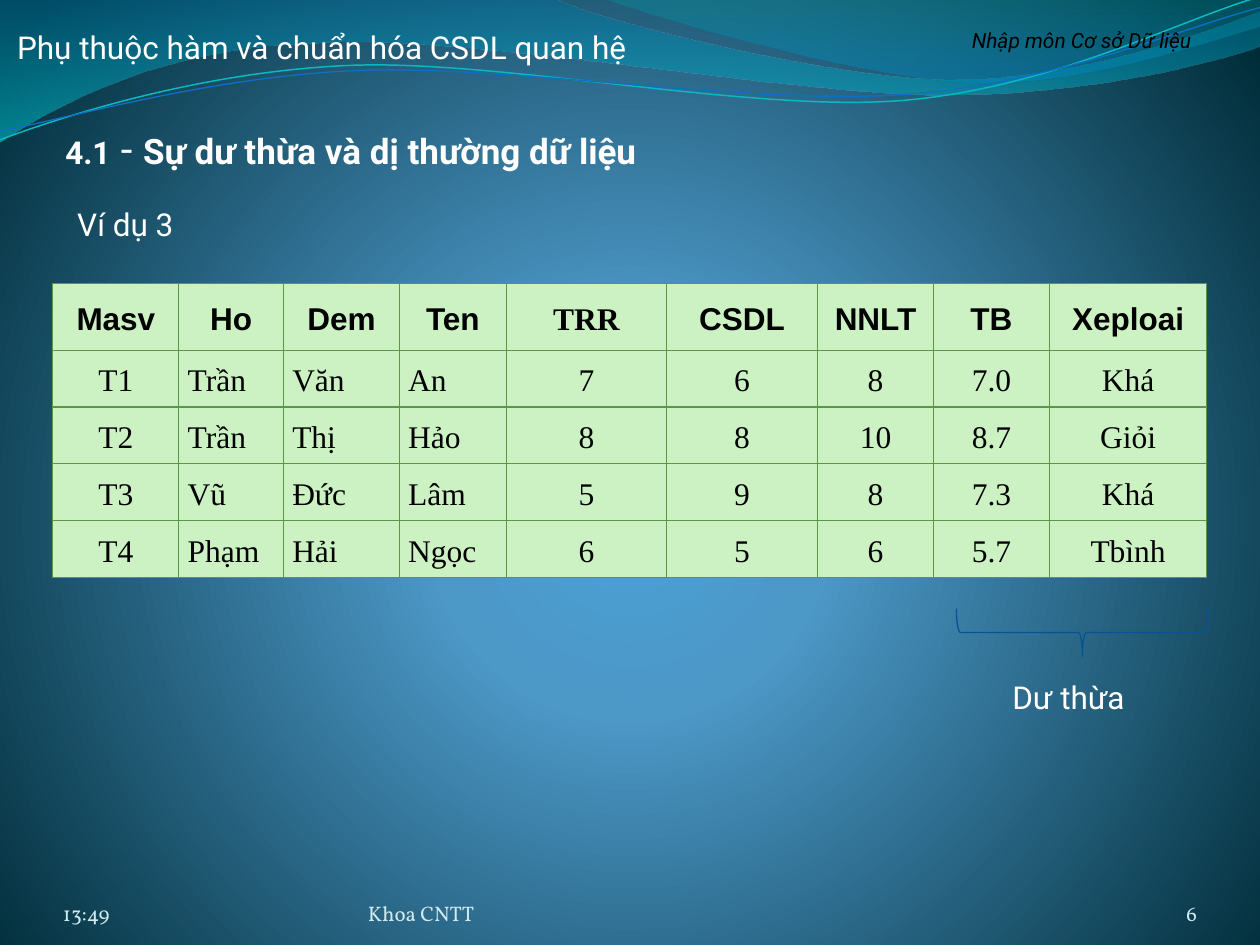
import math
from dataclasses import dataclass
from typing import Any

import pptx
import pptx.dml.color
import pptx.enum.shapes
import pptx.enum.text
import pptx.oxml
import pptx.oxml.ns
import pptx.util

Inches = pptx.util.Inches
Pt = pptx.util.Pt
qn = pptx.oxml.ns.qn
ALIGN = pptx.enum.text.PP_ALIGN
ANCHOR = pptx.enum.text.MSO_ANCHOR
FIT = pptx.enum.text.MSO_AUTO_SIZE
NAMESPACE = pptx.oxml.ns.nsdecls("a")

WHITE, BLACK, FOOTER_TINT = "FFFFFF", "000000", "D1EAEE"
TABLE_FILL, TABLE_BORDER = "CCF2C4", "5B9747"
Point = tuple[float, float]
Place = tuple[float, float, float, float]


@dataclass
class Span:
    text: str
    size: float = 18
    font: str = "Roboto"
    color: str = WHITE
    bold: bool = False
    italic: bool = False


@dataclass
class Label:
    place: Place
    spans: list[Span]
    align: Any = ALIGN.CENTER
    wrap: bool = False
    anchor: Any = ANCHOR.TOP
    inset: Point = (0.1, 0.05)
    fit: Any = FIT.SHAPE_TO_FIT_TEXT


@dataclass
class Wave:
    place: Place
    pieces: list[tuple[Point, ...]]
    line: str = ""
    width: float = 0.75
    turn: float = 0
    stops: tuple[tuple[int, str, int], ...] = ()


def rgb(value: str) -> pptx.dml.color.RGBColor:
    return pptx.dml.color.RGBColor.from_string(value)


def apply(target: Any, values: dict[str, Any]) -> None:
    for name, value in values.items():
        setattr(target, name, value)


def paint_gradient(holder: Any, stops: Any, direction: str) -> None:
    steps = "".join(
        f'<a:gs pos="{place * 1000}"><a:srgbClr val="{color}">'
        f'<a:alpha val="{opacity * 1000}"/></a:srgbClr></a:gs>'
        for place, color, opacity in stops
    )
    gradient = pptx.oxml.parse_xml(
        f'<a:gradFill {NAMESPACE} rotWithShape="1"><a:gsLst>{steps}</a:gsLst>{direction}</a:gradFill>'
    )
    holder.replace(holder.find(qn("a:solidFill")), gradient)


def local_point(point: Point, wave: Wave) -> str:
    left, top, width, height = wave.place
    angle = math.radians(-wave.turn)
    across, down = point[0] - left - width / 2, point[1] - top - height / 2
    x = across * math.cos(angle) - down * math.sin(angle) + width / 2
    y = across * math.sin(angle) + down * math.cos(angle) + height / 2
    return f'<a:pt x="{Inches(x)}" y="{Inches(y)}"/>'


def draw_wave(page: Any, wave: Wave) -> None:
    left, top, width, height = (Inches(value) for value in wave.place)
    builder = page.shapes.build_freeform(left, top)
    builder.add_line_segments([(left + width, top), (left + width, top + height)])
    shape = builder.convert_to_shape()
    outline = shape.element.spPr.find(".//" + qn("a:path"))
    for step in list(outline):
        outline.remove(step)
    for index, piece in enumerate(wave.pieces):
        tag = "moveTo" if index == 0 else "cubicBezTo" if len(piece) == 3 else "lnTo"
        points = "".join(local_point(point, wave) for point in piece)
        outline.append(pptx.oxml.parse_xml(f"<a:{tag} {NAMESPACE}>{points}</a:{tag}>"))
    shape.rotation = wave.turn
    shape.shadow.inherit = False
    if wave.stops:
        outline.append(pptx.oxml.parse_xml(f"<a:close {NAMESPACE}/>"))
        shape.fill.solid()
        paint_gradient(shape.element.spPr, wave.stops, '<a:lin ang="5400000" scaled="0"/>')
        shape.line.fill.background()
    else:
        shape.fill.background()
        shape.line.color.rgb = rgb(wave.line)
        shape.line.width = Pt(wave.width)


def write_span(para: Any, item: Span) -> None:
    span = para.add_run()
    span.text = item.text
    apply(span.font, {"size": Pt(item.size), "name": item.font, "bold": item.bold, "italic": item.italic})
    span.font.color.rgb = rgb(item.color)


def draw_label(page: Any, label: Label) -> None:
    box = page.shapes.add_textbox(*(Inches(value) for value in label.place))
    across, down = (Inches(value) for value in label.inset)
    apply(box.text_frame, {
        "word_wrap": label.wrap, "vertical_anchor": label.anchor, "auto_size": label.fit,
        "margin_left": across, "margin_right": across, "margin_top": down, "margin_bottom": down,
    })
    para = box.text_frame.paragraphs[0]
    para.alignment = label.align
    for item in label.spans:
        write_span(para, item)


def fill_cell(cell: Any, item: Span, align: Any) -> None:
    apply(cell, {
        "vertical_anchor": ANCHOR.MIDDLE, "margin_left": Inches(0.07), "margin_right": Inches(0.07),
        "margin_top": 0, "margin_bottom": 0,
    })
    cell.fill.solid()
    cell.fill.fore_color.rgb = rgb(TABLE_FILL)
    properties = cell._tc.get_or_add_tcPr()
    for index, side in enumerate("LRTB"):
        properties.insert(index, pptx.oxml.parse_xml(
            f'<a:ln{side} {NAMESPACE} w="{Pt(0.75)}"><a:solidFill>'
            f'<a:srgbClr val="{TABLE_BORDER}"/></a:solidFill></a:ln{side}>'
        ))
    para = cell.text_frame.paragraphs[0]
    apply(para, {"alignment": align, "line_spacing": 1.15})
    write_span(para, item)


def draw_grades(page: Any, rows: list[list[str]], widths: list[float], heights: list[float]) -> None:
    frame = page.shapes.add_table(
        len(rows), len(widths), Inches(0.42), Inches(2.25), Inches(sum(widths)), Inches(sum(heights))
    )
    grades = frame.table
    apply(grades, {"first_row": False, "horz_banding": False})
    for column, width in zip(grades.columns, widths):
        column.width = Inches(width)
    for row, (values, height) in enumerate(zip(rows, heights)):
        grades.rows[row].height = Inches(height)
        for column, value in enumerate(values):
            header = row == 0
            font = "Arial" if header and value != "TRR" else "Times New Roman"
            align = ALIGN.LEFT if not header and column in (1, 2, 3) else ALIGN.CENTER
            fill_cell(grades.cell(row, column), Span(value, 18, font, BLACK, bold=header), align)


def footer(text: str, left: float, width: float, align: Any = ALIGN.LEFT) -> Label:
    return Label((left, 6.95, width, 0.4), [Span(text, 12, "Vollkorn", FOOTER_TINT)],
                 align, True, ANCHOR.BOTTOM, (0, 0), FIT.NONE)


WAVES = [
    Wave((-0.01, -0.01, 10.02, 1.14), [
        ((0, 0),), ((4.4, -0.01),),
        ((4.76, 0.17), (6.64, 0.63), (7.58, 0.63)), ((8.53, 0.63), (9.58, 0.26), (10, 0.09)),
        ((10.01, 0.36),), ((9.83, 0.44), (8.7, 0.76), (7.46, 0.75)),
        ((6.22, 0.75), (3.82, 0.28), (2.57, 0.34)), ((1.29, 0.36), (0.46, 0.83), (-0.01, 1.13)),
        ((0, 0),),
    ], stops=((0, "0074A1", 45), (100, "00C6CF", 55))),
    Wave((4.79, -0.01, 5.21, 0.7), [
        ((4.79, -0.01),),
        ((5.09, 0.11), (6.82, 0.62), (7.69, 0.65)), ((8.56, 0.69), (9.61, 0.32), (10, 0.21)),
        ((10, 0),), ((4.79, -0.01),),
    ], stops=((0, "00A1A9", 30), (80, "008BBF", 45))),
    Wave((-0.02, 0.22, 10.02, 0.71), [
        ((0, 1.11),), ((0.48, 0.93), (1.58, 0.57), (2.77, 0.52)),
        ((3.95, 0.47), (5.93, 0.89), (7.13, 0.8)), ((8.33, 0.71), (9.38, 0.15), (9.98, -0.02)),
    ], "0AB8BF", 0.85, 357.3),
    Wave((-0.02, 0.3, 10.03, 0.58), [
        ((0, 1.04),), ((0.47, 0.96), (1.64, 0.61), (2.83, 0.56)),
        ((4.03, 0.51), (5.97, 0.84), (7.17, 0.75)), ((8.36, 0.67), (9.41, 0.21), (10, 0.06)),
    ], "0F6FC6", 0.75, 357.3),
]
LABELS = [
    Label((7.17, 0.17, 2.83, 0.3), [Span("Nhập môn Cơ sở Dữ liệu", 12, color=BLACK, italic=True)], wrap=True),
    Label((0, 0.17, 5.11, 0.4), [Span("Phụ thuộc hàm và chuẩn hóa CSDL quan hệ")]),
    Label((0.42, 0.92, 7, 0.5), [
        Span("4.1", bold=True), Span(" - ", 24), Span("Sự dư thừa và dị thường dữ liệu", 20, bold=True),
    ], ALIGN.LEFT, True),
    footer("13:49", 0.5, 2.33),
    footer("Khoa CNTT", 2.92, 3.67),
    footer("6", 8.67, 0.83, ALIGN.RIGHT),
    Label((0.5, 1.58, 0.99, 0.4), [Span("Ví dụ 3")]),
    Label((7.92, 5.33, 1.12, 0.4), [Span("Dư thừa")]),
]
GRADES = [
    ["Masv", "Ho", "Dem", "Ten", "TRR", "CSDL", "NNLT", "TB", "Xeploai"],
    ["T1", "Trần", "Văn", "An", "7", "6", "8", "7.0", "Khá"],
    ["T2", "Trần", "Thị", "Hảo", "8", "8", "10", "8.7", "Giỏi"],
    ["T3", "Vũ", "Đức", "Lâm", "5", "9", "8", "7.3", "Khá"],
    ["T4", "Phạm", "Hải", "Ngọc", "6", "5", "6", "5.7", "Tbình"],
]


def main() -> None:
    deck = pptx.Presentation()
    apply(deck, {"slide_width": Inches(10), "slide_height": Inches(7.5)})
    page = deck.slides.add_slide(deck.slide_layouts[6])
    page.background.fill.solid()
    paint_gradient(
        page.element.find(".//" + qn("p:bgPr")),
        ((0, "4AA0D6", 100), (25, "4C98C7", 100), (100, "002C38", 100)),
        '<a:path path="circle"><a:fillToRect l="10000" t="110000" r="10000" b="100000"/></a:path>',
    )
    for wave in WAVES:
        draw_wave(page, wave)
    for label in LABELS[:-1]:
        draw_label(page, label)
    draw_grades(page, GRADES, [1, 0.83, 0.92, 0.85, 1.27, 1.2, 0.92, 0.92, 1.25], [0.53] + [0.45] * 4)
    brace = page.shapes.add_shape(
        pptx.enum.shapes.MSO_SHAPE.RIGHT_BRACE, Inches(8.4), Inches(4.02), Inches(0.38), Inches(2)
    )
    brace.rotation = 90
    brace.shadow.inherit = False
    brace.fill.background()
    brace.line.color.rgb = rgb("095295")
    brace.line.width = Pt(0.75)
    draw_label(page, LABELS[-1])
    deck.save("out.pptx")


if __name__ == "__main__":
    main()
